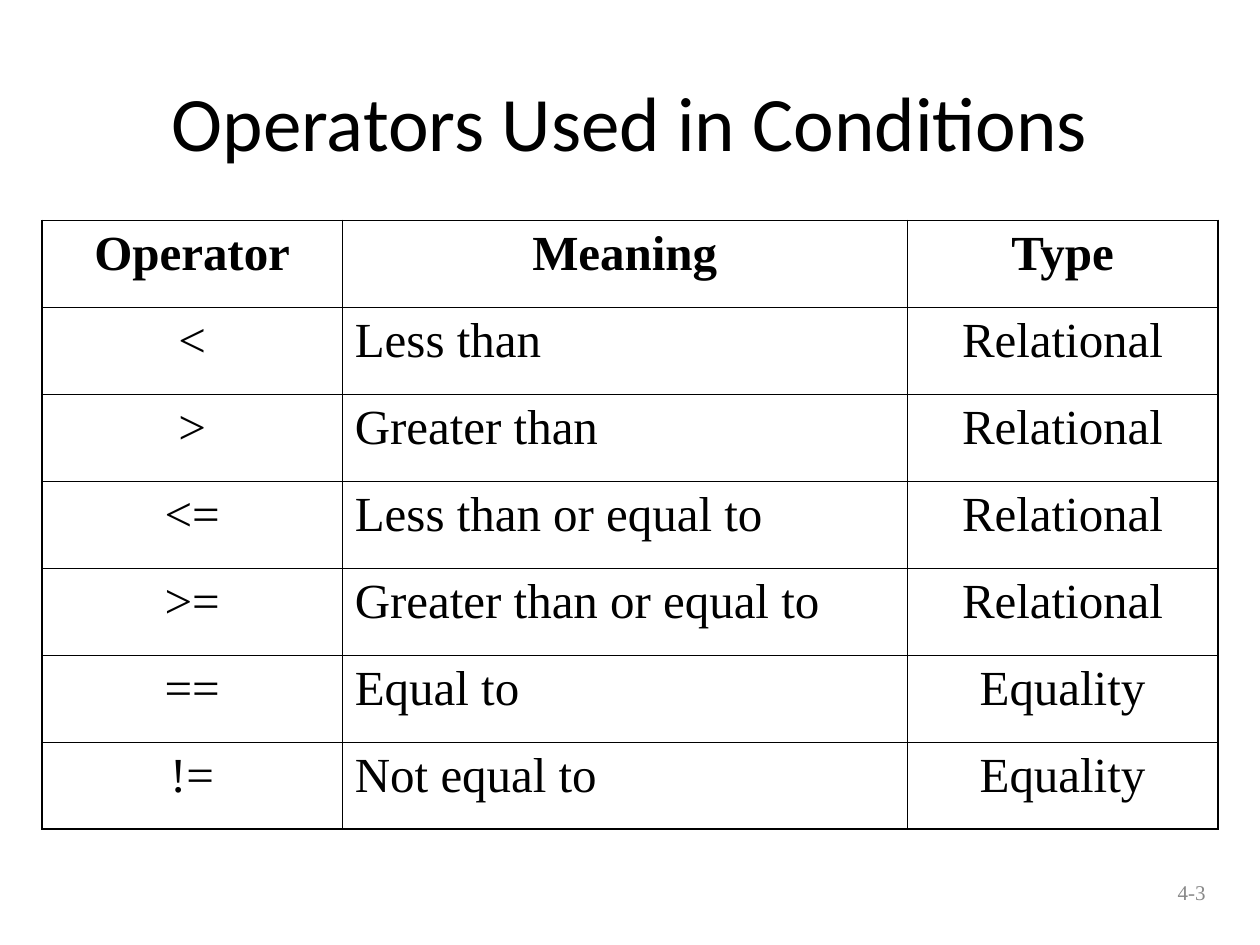
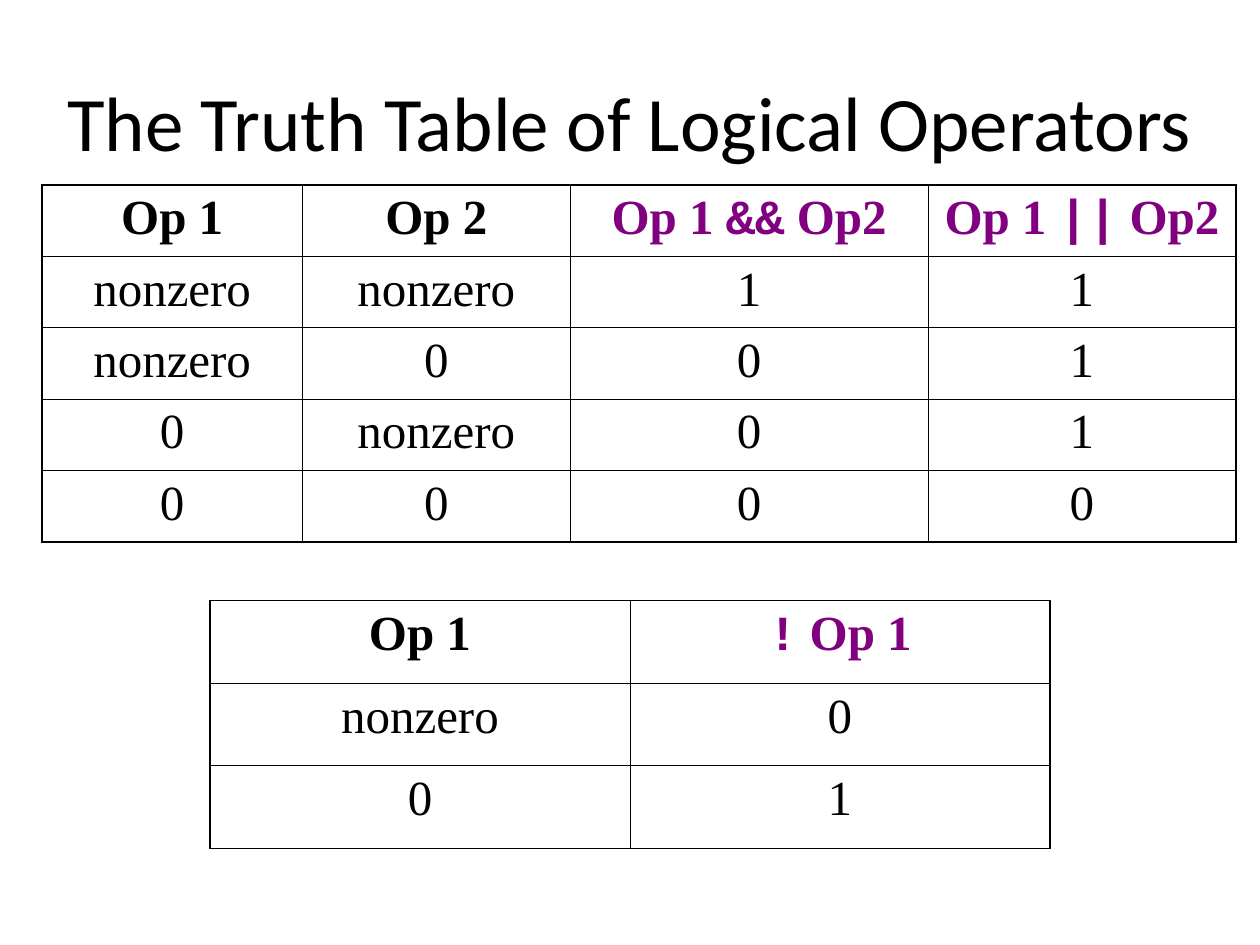
from lxml.etree import SubElement
from pptx import Presentation
from pptx.dml.color import RGBColor
from pptx.enum.text import MSO_ANCHOR, PP_ALIGN
from pptx.oxml.ns import qn
from pptx.util import Inches, Pt

BLACK = RGBColor(0x00, 0x00, 0x00)
GRAY = RGBColor(0x89, 0x89, 0x89)
PURPLE = RGBColor(0x80, 0x00, 0x80)
TITLE_FONT = "Calibri"
BODY_FONT = "Times New Roman"
CODE_FONT = "Courier New"
CODE_RUNS = {"&&", "||", "!"}
GRID_UNIT = Inches(1) / 12
GRID_COLUMNS, GRID_ROWS = 120, 90
LEFT_MARGIN = 4
CONTENT_WIDTH = GRID_COLUMNS - 2 * LEFT_MARGIN
OUTER_LINE, INNER_LINE = Pt(1.08), Pt(0.45)


def grid(units):
    return round(units * GRID_UNIT)


def style_paragraph(paragraph, font_name, size, color, alignment, bold=False):
    paragraph.alignment = alignment
    paragraph.font.name = font_name
    paragraph.font.size = Pt(size)
    paragraph.font.color.rgb = color
    paragraph.font.bold = bold


def add_titled_slide(presentation, text):
    slide = presentation.slides.add_slide(presentation.slide_layouts[5])
    title = slide.shapes.title
    title.left, title.top = grid(LEFT_MARGIN), grid(4)
    title.width, title.height = grid(CONTENT_WIDTH), grid(15)
    title.text_frame.vertical_anchor = MSO_ANCHOR.MIDDLE
    title.text = text
    style_paragraph(title.text_frame.paragraphs[0], TITLE_FONT, 44, BLACK, PP_ALIGN.CENTER)
    return slide


def add_page_number(slide, text):
    shape = slide.shapes.add_textbox(grid(91), grid(82), grid(25), grid(6))
    shape.text_frame.word_wrap = True
    shape.text_frame.vertical_anchor = MSO_ANCHOR.MIDDLE
    paragraph = shape.text_frame.paragraphs[0]
    paragraph.text = text
    style_paragraph(paragraph, BODY_FONT, 12, GRAY, PP_ALIGN.RIGHT)


def set_borders(cell, outer_sides):
    properties = cell._tc.get_or_add_tcPr()
    for side, is_outer in outer_sides.items():
        width = OUTER_LINE if is_outer else INNER_LINE
        line = SubElement(properties, qn(f"a:ln{side}"), w=str(width))
        fill = SubElement(line, qn("a:solidFill"))
        SubElement(fill, qn("a:srgbClr"), val=str(BLACK))


def fill_cell(cell, content, alignment, is_header):
    runs = (content,) if isinstance(content, str) else content
    color = PURPLE if CODE_RUNS.intersection(runs) else BLACK
    paragraph = cell.text_frame.paragraphs[0]
    style_paragraph(paragraph, BODY_FONT, 28, color, alignment, is_header)
    paragraph.space_before = Pt(7)
    for text in runs:
        run = paragraph.add_run()
        run.text = text
        run.font.name = CODE_FONT if text in CODE_RUNS else BODY_FONT
        run.font.size = Pt(28)
        run.font.bold = is_header
        run.font.color.rgb = color


def add_ruled_table(slide, left, top, height, column_widths, rows, left_aligned=()):
    last_row, last_column = len(rows) - 1, len(column_widths) - 1
    table = slide.shapes.add_table(
        len(rows), len(column_widths), grid(left), grid(top),
        grid(sum(column_widths)), grid(height)).table
    table.first_row = table.horz_banding = False
    for column, width in zip(table.columns, column_widths):
        column.width = grid(width)
    for row_index, contents in enumerate(rows):
        for column_index, content in enumerate(contents):
            cell = table.cell(row_index, column_index)
            is_header = row_index == 0
            flush_left = column_index in left_aligned and not is_header
            alignment = PP_ALIGN.LEFT if flush_left else PP_ALIGN.CENTER
            fill_cell(cell, content, alignment, is_header)
            set_borders(cell, {
                "L": column_index == 0, "R": column_index == last_column,
                "T": is_header, "B": row_index == last_row})
            cell.fill.background()


def build_operators_slide(presentation):
    slide = add_titled_slide(presentation, "Operators Used in Conditions")
    operators = [
        ("Operator", "Meaning", "Type"),
        ("<", "Less than", "Relational"),
        (">", "Greater than", "Relational"),
        ("<=", "Less than or equal to", "Relational"),
        (">=", "Greater than or equal to", "Relational"),
        ("==", "Equal to", "Equality"),
        ("!=", "Not equal to", "Equality"),
    ]
    add_ruled_table(slide, LEFT_MARGIN, 21, 58, (28.6, 53.8, 29.6), operators,
                    left_aligned=(1,))
    add_page_number(slide, "4-3")


def build_truth_table_slide(presentation):
    slide = add_titled_slide(presentation, "The Truth Table of Logical Operators")
    and_or_rows = [
        ("Op 1", "Op 2", ("Op 1 ", "&&", " Op2"), ("Op 1 ", "||", " Op2")),
        ("nonzero", "nonzero", "1", "1"),
        ("nonzero", "0", "0", "1"),
        ("0", "nonzero", "0", "1"),
        ("0", "0", "0", "0"),
    ]
    not_rows = [("Op 1", ("!", " Op 1")), ("nonzero", "0"), ("0", "1")]
    add_ruled_table(slide, LEFT_MARGIN, 17.6, 34, (24.8, 25.5, 34.1, 29.3), and_or_rows)
    add_ruled_table(slide, 20, 57.2, 23.6, (40, 40), not_rows)


def main():
    presentation = Presentation()
    presentation.slide_width = grid(GRID_COLUMNS)
    presentation.slide_height = grid(GRID_ROWS)
    build_operators_slide(presentation)
    build_truth_table_slide(presentation)
    presentation.save("out.pptx")


if __name__ == "__main__":
    main()
